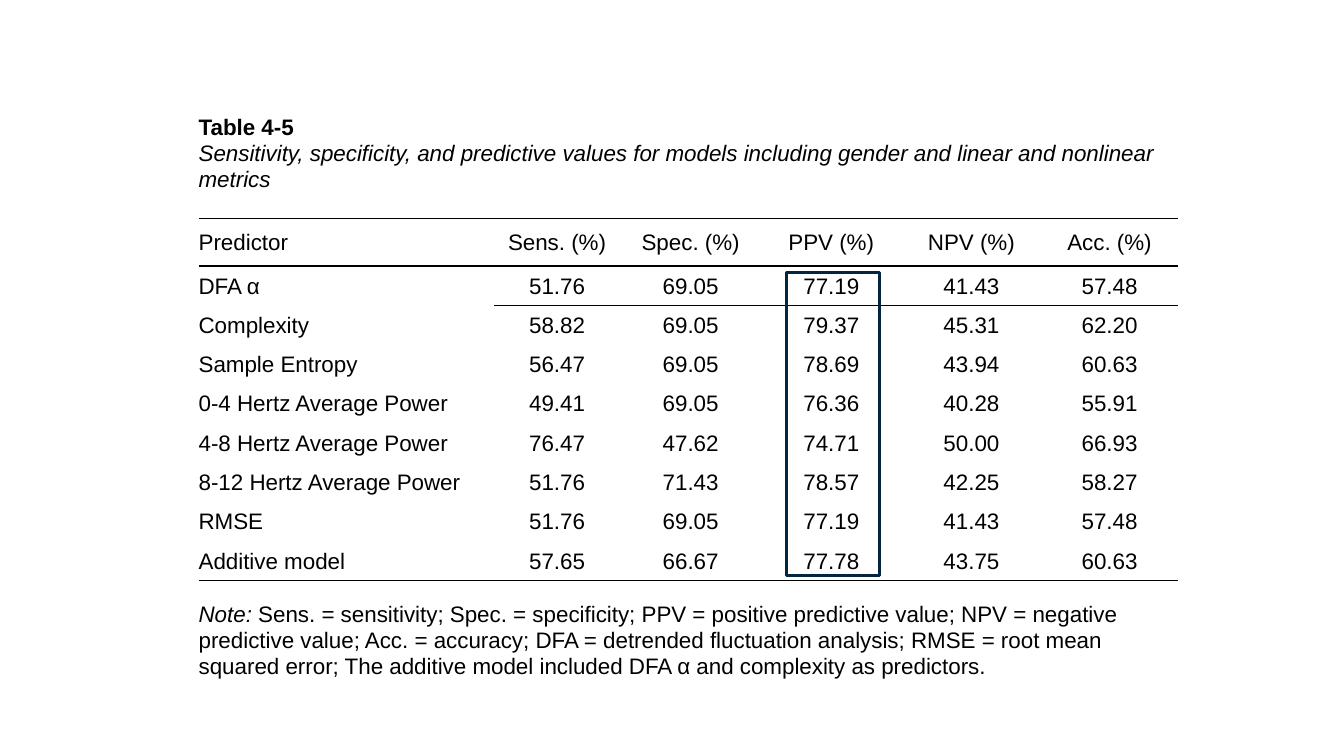
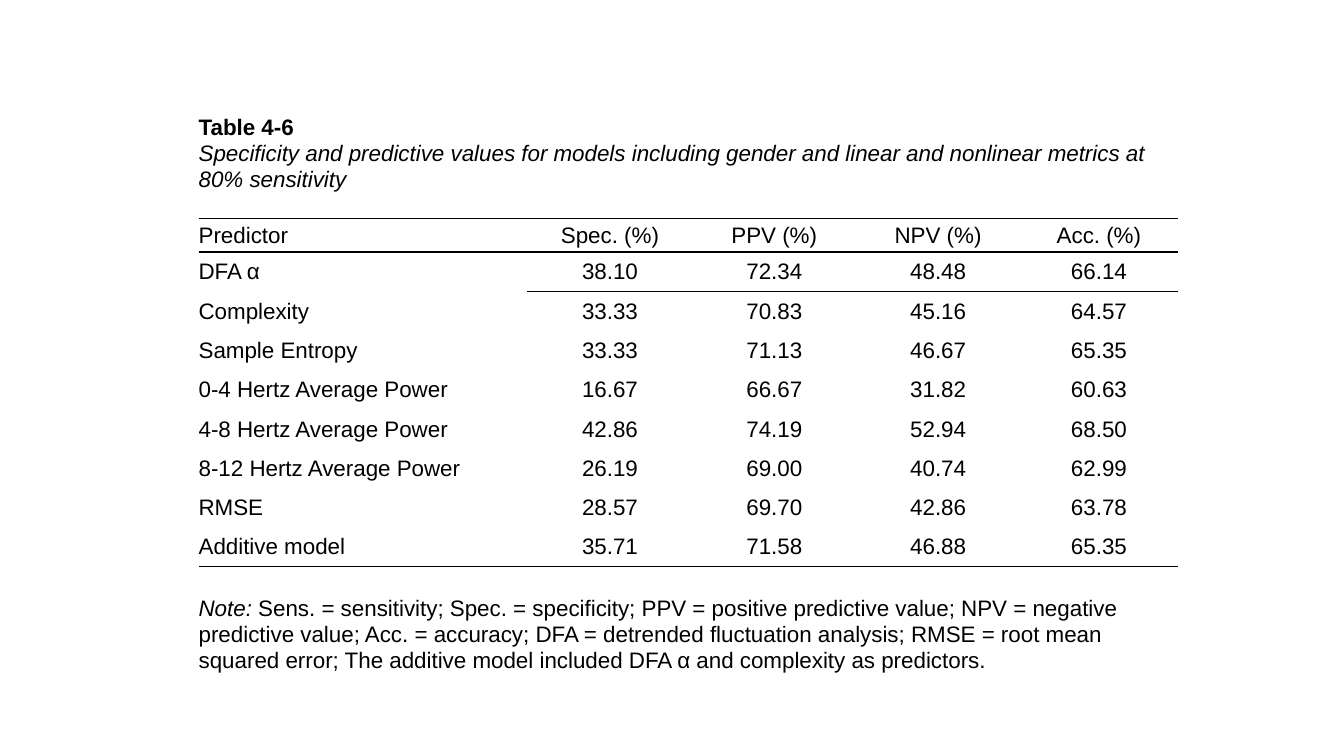
from dataclasses import dataclass
from typing import Optional

from lxml import etree
from pptx import Presentation
from pptx.dml.color import RGBColor
from pptx.enum.shapes import MSO_SHAPE
from pptx.enum.text import MSO_ANCHOR, PP_ALIGN
from pptx.oxml.ns import qn
from pptx.util import Emu, Pt

# Shared style
EMU_PER_PX = 9144  # 100 px to the inch
SLIDE_WIDTH, SLIDE_HEIGHT = 1333, 750
TABLE_LEFT, TABLE_TOP = 197, 90
CAPTION_HEIGHT, BODY_ROW_HEIGHT = 127, 39
FONT_NAME, FONT_SIZE = "Arial", 16
INK, HIGHLIGHT = "000000", "002642"
RULE_WIDTH, HIGHLIGHT_WIDTH = 1, 2.25
PLAIN_TABLE_STYLE = "{2D5ABB26-0587-4C30-8999-92F81FD0307C}"
BLANK_LAYOUT = 6

LEFT, CENTER = PP_ALIGN.LEFT, PP_ALIGN.CENTER
TOP, MIDDLE = MSO_ANCHOR.TOP, MSO_ANCHOR.MIDDLE
RECTANGLE = MSO_SHAPE.RECTANGLE

# Shared content
PREDICTORS = (
    "DFA α", "Complexity", "Sample Entropy", "0-4 Hertz Average Power",
    "4-8 Hertz Average Power", "8-12 Hertz Average Power", "RMSE",
    "Additive model",
)
NOTE_LABEL = "Note:"
NOTE_TEXT = (
    " Sens. = sensitivity; Spec. = specificity; PPV = positive predictive value; "
    "NPV = negative predictive value; Acc. = accuracy; DFA = detrended fluctuation "
    "analysis; RMSE = root mean squared error; The additive model included DFA α "
    "and complexity as predictors."
)


@dataclass(frozen=True)
class Box:
    left: int
    top: int
    width: int
    height: int


@dataclass(frozen=True)
class ResultTable:
    number: str
    caption: str
    headings: tuple[str, ...]
    values: tuple[str, ...]  # one line of figures per predictor
    column_widths: tuple[int, ...]
    header_height: int
    note_height: int
    highlight: Optional[Box] = None


RESULT_TABLES = (
    ResultTable(
        number="Table 4‑5",
        caption="Sensitivity, specificity, and predictive values for models "
                "including gender and linear and nonlinear metrics",
        headings=("Sens. (%)", "Spec. (%)", "PPV (%)", "NPV (%)", "Acc. (%)"),
        values=(
            "51.76 69.05 77.19 41.43 57.48",
            "58.82 69.05 79.37 45.31 62.20",
            "56.47 69.05 78.69 43.94 60.63",
            "49.41 69.05 76.36 40.28 55.91",
            "76.47 47.62 74.71 50.00 66.93",
            "51.76 71.43 78.57 42.25 58.27",
            "51.76 69.05 77.19 41.43 57.48",
            "57.65 66.67 77.78 43.75 60.63",
        ),
        column_widths=(293, 125, 140, 139, 139, 135),
        header_height=47,
        note_height=118,
        highlight=Box(780, 270, 92, 301),
    ),
    ResultTable(
        number="Table 4‑6",
        caption="Specificity and predictive values for models including gender "
                "and linear and nonlinear metrics at 80% sensitivity",
        headings=("Spec. (%)", "PPV (%)", "NPV (%)", "Acc. (%)"),
        values=(
            "38.10 72.34 48.48 66.14",
            "33.33 70.83 45.16 64.57",
            "33.33 71.13 46.67 65.35",
            "16.67 66.67 31.82 60.63",
            "42.86 74.19 52.94 68.50",
            "26.19 69.00 40.74 62.99",
            "28.57 69.70 42.86 63.78",
            "35.71 71.58 46.88 65.35",
        ),
        column_widths=(326, 164, 162, 163, 156),
        header_height=33,
        note_height=135,
    ),
)


def px(length: int) -> Emu:
    return Emu(length * EMU_PER_PX)


def color(value: str) -> RGBColor:
    return RGBColor.from_string(value)


def format_paragraph(paragraph, align=LEFT, spacing: float = 1.05,
                     bold: bool = False, italic: Optional[bool] = False) -> None:
    paragraph.alignment = align
    paragraph.line_spacing = spacing
    font = paragraph.font
    font.name, font.size = FONT_NAME, Pt(FONT_SIZE)
    font.bold, font.italic = bold, italic
    font.color.rgb = color(INK)


def prepare_cell(cell, anchor=MIDDLE) -> None:
    cell.fill.background()
    cell.vertical_anchor = anchor
    cell.margin_left = cell.margin_right = 0
    cell.margin_top = cell.margin_bottom = 0


def add_border(cell, side: str) -> None:
    """Add a border; side is lnT or lnB, and lnT has to come first."""
    properties = cell._tc.get_or_add_tcPr()
    line = etree.Element(qn(f"a:{side}"), w=str(Pt(RULE_WIDTH)))
    fill = etree.SubElement(line, qn("a:solidFill"))
    etree.SubElement(fill, qn("a:srgbClr"), val=INK)
    has_top = properties.find(qn("a:lnT")) is not None
    properties.insert(1 if side == "lnB" and has_top else 0, line)


def add_rule(table, row: int, first_column: int = 0) -> None:
    """Rule off the given row from the row below it."""
    for column in range(first_column, len(table.columns)):
        add_border(table.cell(row, column), "lnB")
        add_border(table.cell(row + 1, column), "lnT")


def fill_caption(cell, result: ResultTable) -> None:
    number = cell.text_frame.paragraphs[0]
    number.text = result.number
    format_paragraph(number, spacing=2.0, bold=True)
    caption = cell.text_frame.add_paragraph()
    caption.text = result.caption
    format_paragraph(caption, italic=True)


def fill_note(cell) -> None:
    paragraph = cell.text_frame.paragraphs[0]
    for text, italic in ((NOTE_LABEL, True), (NOTE_TEXT, False)):
        run = paragraph.add_run()
        run.text = text
        run.font.italic = italic
    format_paragraph(paragraph, italic=None)


def draw_table(slide, result: ResultTable) -> None:
    grid = [("Predictor", *result.headings)]
    grid += [(name, *line.split()) for name, line in zip(PREDICTORS, result.values)]
    heights = [CAPTION_HEIGHT, result.header_height,
               *[BODY_ROW_HEIGHT] * len(PREDICTORS), result.note_height]
    note_row, last_column = len(heights) - 1, len(result.column_widths) - 1

    frame = slide.shapes.add_table(
        len(heights), len(result.column_widths), px(TABLE_LEFT), px(TABLE_TOP),
        px(sum(result.column_widths)), px(sum(heights)))
    table = frame.table
    table.first_row = table.horz_banding = False
    next(frame.element.iter(qn("a:tableStyleId"))).text = PLAIN_TABLE_STYLE
    for column, width in zip(table.columns, result.column_widths):
        column.width = px(width)
    for row, height in zip(table.rows, heights):
        row.height = px(height)
    for cell in table.iter_cells():
        prepare_cell(cell)

    # Caption and note span the whole width
    for row in (0, note_row):
        table.cell(row, 0).merge(table.cell(row, last_column))
    table.cell(0, 0).vertical_anchor = TOP
    fill_caption(table.cell(0, 0), result)
    fill_note(table.cell(note_row, 0))

    # Headings and figures
    for row, texts in enumerate(grid, start=1):
        for column, text in enumerate(texts):
            paragraph = table.cell(row, column).text_frame.paragraphs[0]
            paragraph.text = text
            format_paragraph(paragraph, align=CENTER if column else LEFT)

    # Horizontal rules
    add_rule(table, 0)
    add_rule(table, 1, first_column=1)
    add_rule(table, note_row - 1)


def draw_highlight(slide, box: Box) -> None:
    shape = slide.shapes.add_shape(
        RECTANGLE, px(box.left), px(box.top), px(box.width), px(box.height))
    shape.shadow.inherit = False
    shape.fill.background()
    shape.line.color.rgb = color(HIGHLIGHT)
    shape.line.width = Pt(HIGHLIGHT_WIDTH)


def main() -> None:
    presentation = Presentation()
    presentation.slide_width = px(SLIDE_WIDTH)
    presentation.slide_height = px(SLIDE_HEIGHT)
    for result in RESULT_TABLES:
        slide = presentation.slides.add_slide(presentation.slide_layouts[BLANK_LAYOUT])
        draw_table(slide, result)
        if result.highlight:
            draw_highlight(slide, result.highlight)
    presentation.save("out.pptx")


if __name__ == "__main__":
    main()
